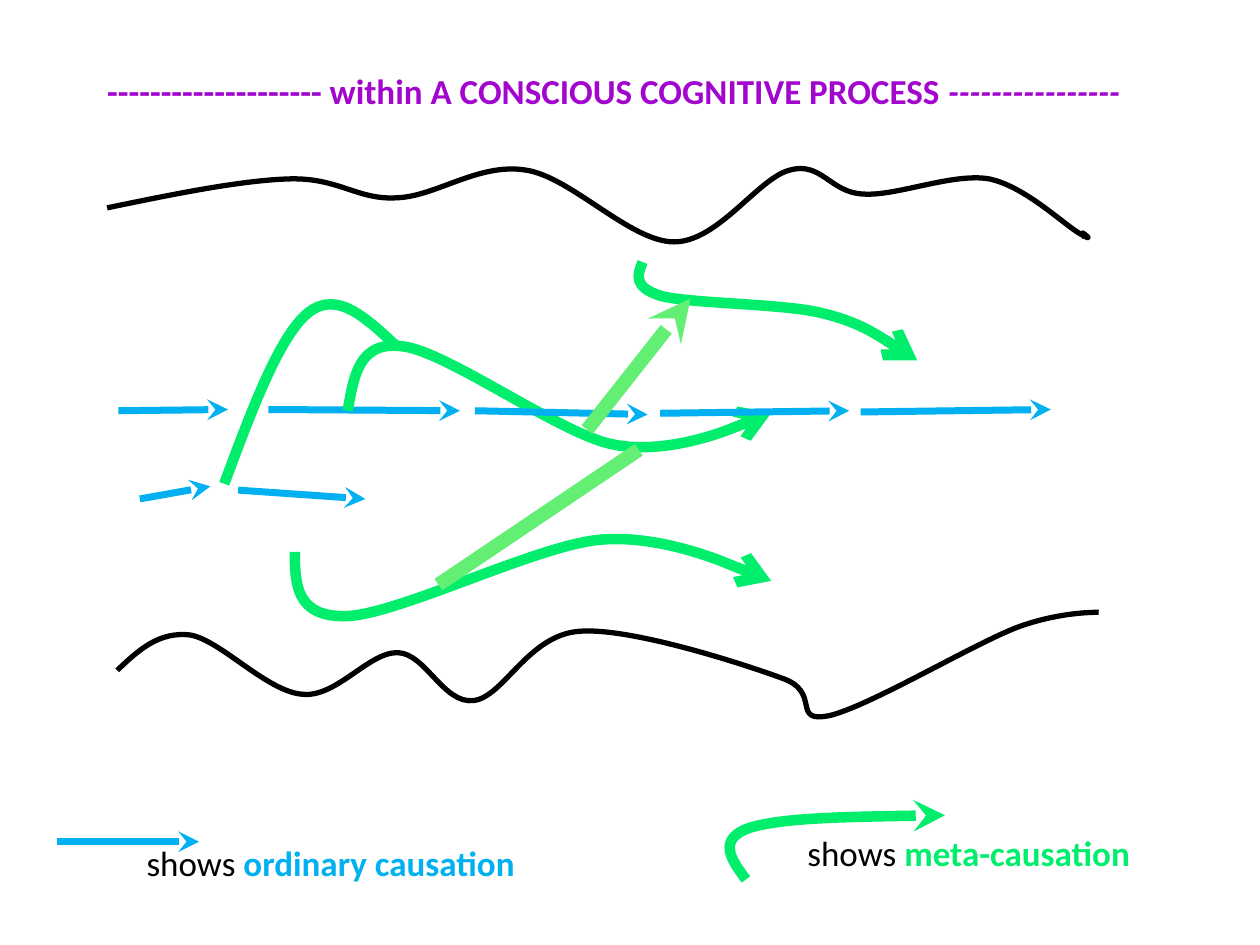
from lxml import etree
from pptx import Presentation, util as u
from pptx.dml.color import RGBColor
from pptx.enum import shapes, text
from pptx.oxml.ns import qn

BLACK = RGBColor(0, 0, 0)
PURPLE = RGBColor(0xA2, 0x05, 0xCD)
BLUE = RGBColor(0x00, 0xB0, 0xF0)
GREEN = RGBColor(0x00, 0xEE, 0x6C)
LIGHT = RGBColor(0x63, 0xEF, 0x74)

deck = Presentation()
deck.slide_width, deck.slide_height = u.Inches(10), u.Inches(7.5)
CELL = deck.slide_width // 100  # grid of 100 columns by 75 rows
slide = deck.slides.add_slide(deck.slide_layouts[5])


def draw(color, width, head, pts):
    """Two points make a straight line; more make a chain of Bezier curves."""
    pts = [(round(x * CELL), round(y * CELL)) for x, y in pts]
    if len(pts) == 2:
        item = slide.shapes.add_connector(
            shapes.MSO_CONNECTOR.STRAIGHT, *pts[0], *pts[1])
        etree.SubElement(item._element.spPr, qn("a:effectLst"))
    else:
        form = slide.shapes.build_freeform(*pts[0])
        form.add_line_segments(pts[1:], close=False)
        item = form.convert_to_shape()
        item.shadow.inherit = False
        item.fill.background()
        # Every three segments become one curve; a leftover stays straight.
        steps = list(item._element.iter(qn("a:lnTo")))
        for i in range(0, len(steps) - 2, 3):
            curve = etree.Element(qn("a:cubicBezTo"))
            steps[i].addprevious(curve)
            for step in steps[i:i + 3]:
                curve.append(step[0])
                step.getparent().remove(step)
    item.line.color.rgb = color
    item.line.width = u.Pt(width)
    if head:
        ln = item.line._get_or_add_ln()
        etree.SubElement(ln, qn("a:tailEnd"), type=head)


def write(box, area, align, runs):
    box.left, box.top, box.width, box.height = (round(n * CELL) for n in area)
    frame = box.text_frame
    frame.word_wrap = True
    frame.auto_size = text.MSO_AUTO_SIZE.SHAPE_TO_FIT_TEXT
    frame.vertical_anchor = text.MSO_ANCHOR.TOP
    par = frame.paragraphs[0]
    par.alignment = align
    par.font.size, par.font.name = u.Pt(20), "Calibri"
    for words, color, bold, slant in runs:
        run = par.add_run()
        run.text = words
        run.font.size, run.font.name = u.Pt(20), "Calibri"
        run.font.color.rgb = color
        run.font.bold, run.font.italic = bold, slant


LEFT, MID = text.PP_ALIGN.LEFT, text.PP_ALIGN.CENTER
write(slide.shapes.title, (7.5, 5, 83, 4.4), LEFT, [
    ("-" * 20 + " within A CONSCIOUS COGNITIVE PROCESS", PURPLE, True, False),
    (" " + "-" * 16, PURPLE, True, True)])

# Borders of the process
draw(BLACK, 3, None, [
    (8.5, 16.5), (13.8, 15.4), (19.2, 14.3), (23, 14.2),
    (26.9, 14.1), (28.4, 15.9), (31.5, 15.7), (34.6, 15.6), (38, 12.9),
    (41.7, 13.5), (45.3, 14), (50, 19.2), (53.5, 19.2), (57, 19.2),
    (60.2, 14.1), (62.7, 13.5), (65.2, 12.8), (65.9, 15.3), (68.5, 15.4),
    (71.1, 15.6), (75.6, 13.7), (78.5, 14.2), (81.4, 14.8), (84.5, 17.9),
    (85.8, 18.6), (87, 19.3), (85.9, 18.4), (85.9, 18.5), (86, 18.5),
    (86, 18.7), (86.1, 18.9)])
draw(BLACK, 3, None, [
    (9.3, 53.2), (11, 51.6), (12.6, 50.1), (15.1, 50.4), (17.5, 50.8),
    (21.2, 54.9), (24, 55.1), (26.7, 55.4), (29.3, 51.7), (31.6, 51.8),
    (33.8, 51.9), (35.2, 55.9), (37.6, 55.6), (40, 55.3), (41.9, 50.4),
    (46, 50.1), (50, 49.8), (58.7, 52.6), (62, 53.8), (65.3, 54.9),
    (62.7, 57.4), (65.8, 56.8), (68.9, 56.1), (77.1, 51.2), (80.7, 49.8),
    (84.2, 48.5), (87.2, 48.6), (87.2, 48.6)])

# Ordinary causes that lie under the green curves
for pts in ([(9.4, 32.6), (18.1, 32.5)], [(21.3, 32.5), (36.5, 32.6)]):
    draw(BLUE, 4, "stealth", pts)

# Meta-causes, from back to front
draw(GREEN, 6, "arrow", [
    (27.6, 32.6), (28.1, 29.8), (28.5, 27), (32, 27.5), (35.4, 27.9),
    (44, 34.1), (48.3, 35.2), (52.7, 36.3), (58.1, 34), (58.1, 34),
    (61.2, 32.8)])
for pts in ([(52.4, 32.8), (67.4, 32.6)], [(37.7, 32.6), (51.4, 32.9)]):
    draw(BLUE, 4, "stealth", pts)
draw(GREEN, 6, None, [
    (31.5, 27.5), (29.1, 25.3), (26.8, 23), (24.5, 24.8), (22.2, 26.6),
    (20, 32.5), (17.8, 38.4)])
draw(GREEN, 6, "arrow", [
    (23.4, 43.8), (23.4, 46.4), (23.5, 49), (27.5, 48.9), (31.4, 48.8),
    (42, 43.6), (47.1, 42.9), (52.1, 42.2), (57.9, 44.8), (57.9, 44.8),
    (61.2, 46.1)])
draw(LIGHT, 8, None, [(34.8, 46.4), (50.7, 35.7)])
draw(GREEN, 6, "arrow", [
    (51, 20.8), (50.6, 21.8), (50.2, 22.8), (52.5, 23.5), (54.9, 24.1),
    (62, 24.1), (65, 24.8), (68.1, 25.5), (71.1, 27.5), (71.1, 27.5),
    (72.8, 28.6)])
draw(LIGHT, 8, "stealth", [(46.6, 34.1), (54.8, 23.7)])

# Remaining ordinary causes
for pts in ([(11.1, 39.6), (16.7, 38.6)], [(18.9, 38.9), (29, 39.6)],
            [(68.3, 32.7), (83.4, 32.5)]):
    draw(BLUE, 4, "stealth", pts)

# Legend
draw(BLUE, 4, "stealth", [(4.5, 66.8), (15.8, 66.8)])
draw(GREEN, 6, "stealth", [
    (59.2, 69.8), (58, 68.2), (56.9, 66.6), (59.5, 65.7), (62.1, 64.9),
    (68.6, 64.8), (75, 64.7)])
for area, align, words, color in (
        ((10.6, 66.3, 31.3, 4.4), MID, " ordinary causation", BLUE),
        ((63.1, 65.5, 34.4, 4.4), LEFT, " meta-causation", GREEN)):
    write(slide.shapes.add_textbox(0, 0, CELL, CELL), area, align,
          [("shows", BLACK, False, False), (words, color, True, False)])

deck.save("out.pptx")
